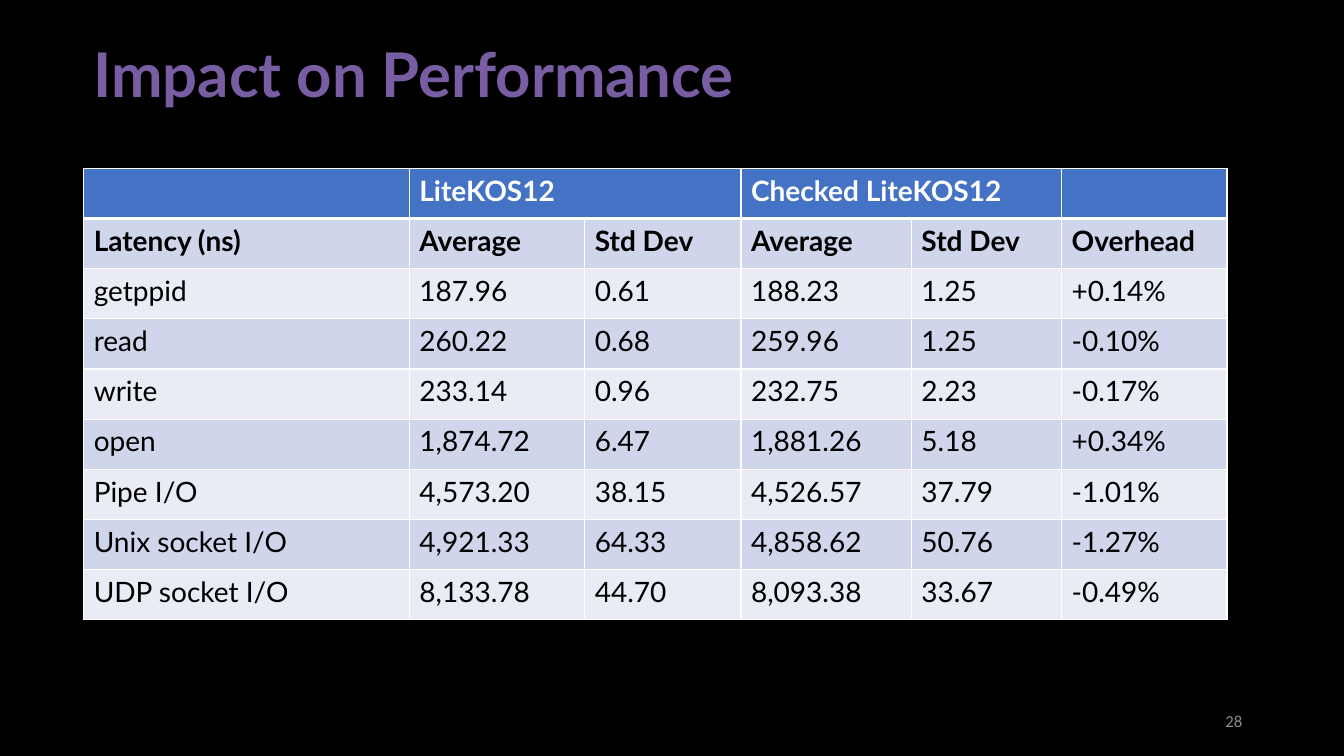
import lxml.etree
import pptx
import pptx.dml.color
import pptx.enum.text
import pptx.oxml.ns
import pptx.util

Inches = pptx.util.Inches
Pt = pptx.util.Pt
RGBColor = pptx.dml.color.RGBColor
qn = pptx.oxml.ns.qn
PP_ALIGN = pptx.enum.text.PP_ALIGN

BLACK = RGBColor(0x00, 0x00, 0x00)
WHITE = RGBColor(0xFF, 0xFF, 0xFF)
PURPLE = RGBColor(0x78, 0x5D, 0xA3)
GREY = RGBColor(0x8C, 0x8C, 0x8C)
HEADER_BLUE = RGBColor(0x44, 0x72, 0xC4)
BAND_DARK = RGBColor(0xCF, 0xD5, 0xEA)
BAND_LIGHT = RGBColor(0xE9, 0xEB, 0xF5)

COLUMN_WIDTHS = [3.23, 1.74, 1.55, 1.69, 1.49, 1.64]
LATENCY_ROWS = [
    ["", "LiteKOS12", "", "Checked LiteKOS12", "", ""],
    ["Latency (ns)", "Average", "Std Dev", "Average", "Std Dev", "Overhead"],
    ["getppid", "187.96", "0.61", "188.23", "1.25", "+0.14%"],
    ["read", "260.22", "0.68", "259.96", "1.25", "-0.10%"],
    ["write", "233.14", "0.96", "232.75", "2.23", "-0.17%"],
    ["open", "1,874.72", "6.47", "1,881.26", "5.18", "+0.34%"],
    ["Pipe I/O", "4,573.20", "38.15", "4,526.57", "37.79", "-1.01%"],
    ["Unix socket I/O", "4,921.33", "64.33", "4,858.62", "50.76", "-1.27%"],
    ["UDP socket I/O", "8,133.78", "44.70", "8,093.38", "33.67", "-0.49%"],
]


def add_run(p, text, font, size, color, bold=False):
    r = p.add_run()
    r.text = text
    r.font.name = font
    r.font.size = Pt(size)
    r.font.bold = bold
    r.font.color.rgb = color


def add_text(s, box, text, font, size, color, bold=False, align=PP_ALIGN.LEFT, spacing=1.0):
    tf = s.shapes.add_textbox(*map(Inches, box)).text_frame
    tf.word_wrap = True
    tf.vertical_anchor = pptx.enum.text.MSO_ANCHOR.MIDDLE
    p = tf.paragraphs[0]
    p.alignment = align
    p.line_spacing = spacing
    add_run(p, text, font, size, color, bold)


def set_borders(cell, top, bottom):
    tc_pr = cell._tc.get_or_add_tcPr()
    widths = [("a:lnL", 1), ("a:lnR", 1), ("a:lnT", top), ("a:lnB", bottom)]
    for i, (tag, width) in enumerate(widths):
        ln = lxml.etree.Element(qn(tag), w=str(Pt(width)))
        fill = lxml.etree.SubElement(ln, qn("a:solidFill"))
        lxml.etree.SubElement(fill, qn("a:srgbClr"), val=str(WHITE))
        tc_pr.insert(i, ln)


def add_latency_table(s, box):
    row_count = len(LATENCY_ROWS)
    frame = s.shapes.add_table(row_count, len(COLUMN_WIDTHS), *map(Inches, box))
    table = frame.table
    for column, width in zip(table.columns, COLUMN_WIDTHS):
        column.width = Inches(width)
    for i, values in enumerate(LATENCY_ROWS):
        table.rows[i].height = Inches(box[3] / row_count)
        for j, value in enumerate(values):
            cell = table.cell(i, j)
            cell.fill.solid()
            cell.fill.fore_color.rgb = (
                HEADER_BLUE if i == 0 else BAND_DARK if i % 2 else BAND_LIGHT)
            set_borders(cell, 3 if i == 1 else 1, 3 if i == 0 else 1)
            if value:
                add_run(cell.text_frame.paragraphs[0], value, "Lato", 20,
                        WHITE if i == 0 else BLACK, i < 2)
    for first in (1, 3):
        table.cell(0, first).merge(table.cell(0, first + 1))


def main():
    prs = pptx.Presentation()
    prs.slide_width = Inches(13.33)
    prs.slide_height = Inches(7.5)
    s = prs.slides.add_slide(prs.slide_layouts[6])
    s.background.fill.solid()
    s.background.fill.fore_color.rgb = BLACK
    add_text(s, (0.83, 0.03, 11.5, 1.48), "Impact on Performance", "Lato", 44, PURPLE,
             bold=True, spacing=0.9)
    add_latency_table(s, (0.83, 1.67, 11.34, 4.48))
    add_text(s, (9.42, 6.95, 3, 0.4), "28", "Calibri", 12, GREY, align=PP_ALIGN.RIGHT)
    prs.save("out.pptx")


if __name__ == "__main__":
    main()
